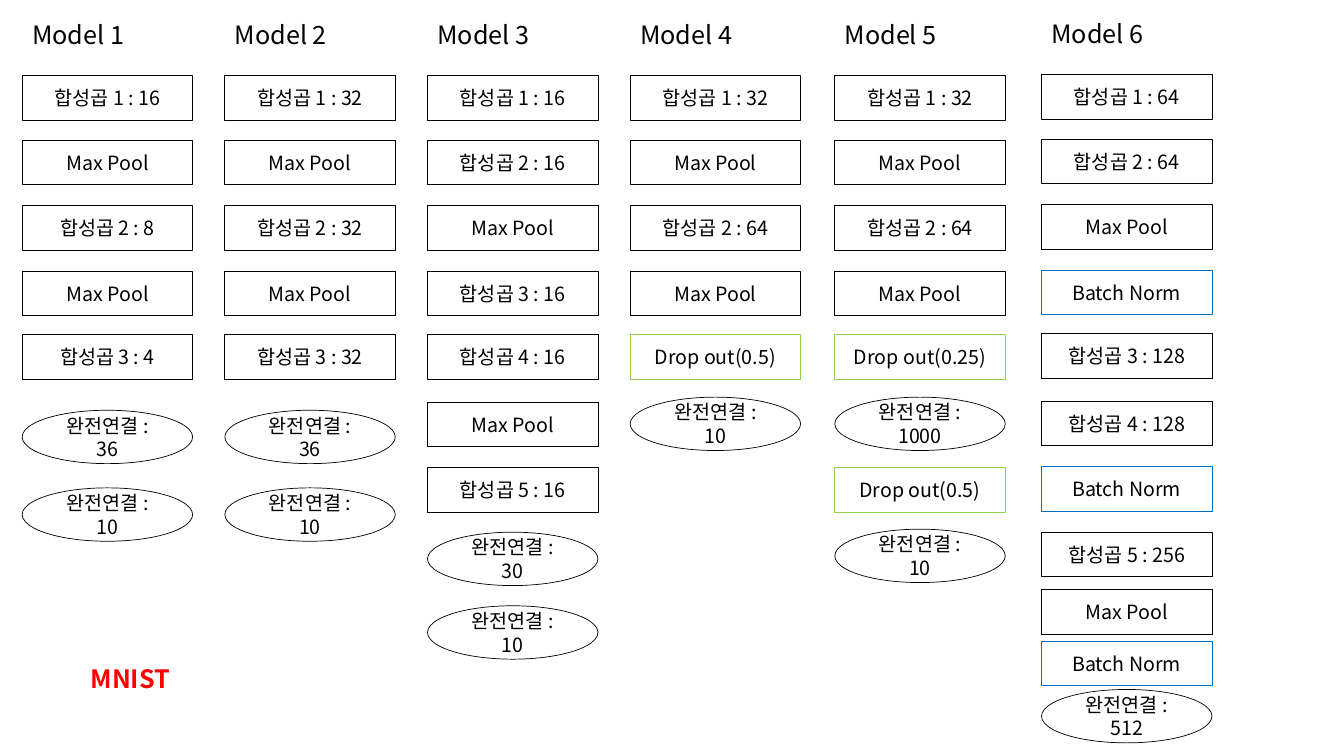
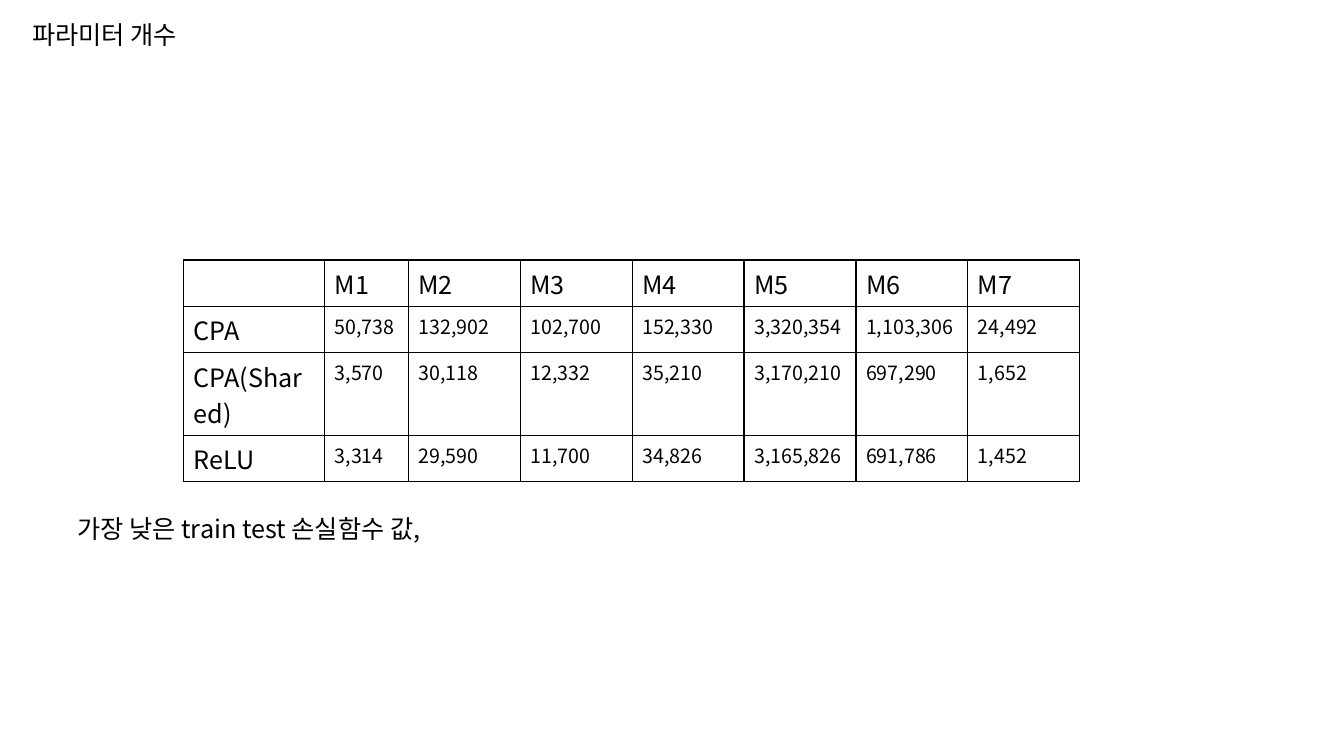
"""Build two slides comparing the MNIST models: layer stacks and parameter counts."""
from lxml.etree import SubElement
from pptx import Presentation
from pptx.dml.color import RGBColor
from pptx.enum.shapes import MSO_SHAPE as Preset
from pptx.enum.text import MSO_ANCHOR as Anchor, MSO_AUTO_SIZE as AutoSize, PP_ALIGN as Align
from pptx.oxml.ns import qn
from pptx.util import Pt

PX = 9144
BLACK = RGBColor(0x00, 0x00, 0x00)
RED = RGBColor(0xFF, 0x00, 0x00)
GREEN = RGBColor(0x92, 0xD0, 0x50)
BLUE = RGBColor(0x00, 0x70, 0xC0)
FONT = "Noto Sans CJK KR"
TITLE_SIZE, BODY_SIZE = 18, 14
BOX_WIDTH, RECT_HEIGHT, OVAL_HEIGHT = 169, 44, 53


def write(frame, text, size, color=BLACK, bold=None):
    para = frame.paragraphs[0]
    span = para.add_run()
    span.text = text
    formats = {"name": FONT, "size": Pt(size), "bold": bold}
    for key, value in formats.items():
        setattr(span.font, key, value)
    span.font.color.rgb = color
    SubElement(span._r.get_or_add_rPr(), qn("a:ea"), typeface=FONT)
    return para


def add_label(page, text, left, top, width, **style):
    box = page.shapes.add_textbox(left * PX, top * PX, width * PX, 40 * PX)
    box.text_frame.word_wrap = False
    box.text_frame.auto_size = AutoSize.SHAPE_TO_FIT_TEXT
    write(box.text_frame, text, TITLE_SIZE, **style)


deck = Presentation()
deck.slide_width, deck.slide_height = 1333 * PX, 750 * PX
blank = deck.slide_layouts[6]

LINE_COLORS = {"Drop out": GREEN, "Batch Norm": BLUE}
FIRST_TOPS = [75, 139, 204, 269, 332]
MODELS = [
    (22, 14, [407, 484],
     ["합성곱 1 : 16", "Max Pool", "합성곱 2 : 8", "Max Pool", "합성곱 3 : 4",
      "완전연결 : 36", "완전연결 : 10"]),
    (223, 14, [407, 484],
     ["합성곱 1 : 32", "Max Pool", "합성곱 2 : 32", "Max Pool", "합성곱 3 : 32",
      "완전연결 : 36", "완전연결 : 10"]),
    (424, 14, [399, 464, 528, 601],
     ["합성곱 1 : 16", "합성곱 2 : 16", "Max Pool", "합성곱 3 : 16", "합성곱 4 : 16",
      "Max Pool", "합성곱 5 : 16", "완전연결 : 30", "완전연결 : 10"]),
    (625, 14, [394],
     ["합성곱 1 : 32", "Max Pool", "합성곱 2 : 64", "Max Pool", "Drop out(0.5)",
      "완전연결 : 10"]),
    (828, 14, [394, 464, 525],
     ["합성곱 1 : 32", "Max Pool", "합성곱 2 : 64", "Max Pool", "Drop out(0.25)",
      "완전연결 : 1000", "Drop out(0.5)", "완전연결 : 10"]),
    (1033, 13, [399, 464, 529, 586, 637, 685],
     ["합성곱 1 : 64", "합성곱 2 : 64", "Max Pool", "Batch Norm", "합성곱 3 : 128",
      "합성곱 4 : 128", "Batch Norm", "합성곱 5 : 256", "Max Pool", "Batch Norm",
      "완전연결 : 512"]),
]

page = deck.slides.add_slide(blank)
for number, (left, title_top, later_tops, layers) in enumerate(MODELS, 1):
    add_label(page, f"Model {number}", left, title_top, 116)
    shift = title_top - 14
    for layer, top in zip(layers, FIRST_TOPS + later_tops):
        dense = layer.startswith("완전연결")
        preset = Preset.OVAL if dense else Preset.RECTANGLE
        height = OVAL_HEIGHT if dense else RECT_HEIGHT
        box = page.shapes.add_shape(
            preset, left * PX, (top + shift) * PX, BOX_WIDTH * PX, height * PX)
        box.shadow.inherit = False
        box.fill.background()
        box.line.color.rgb = LINE_COLORS.get(layer.split("(")[0], BLACK)
        box.line.width = Pt(0.5)
        box.text_frame.word_wrap = True
        box.text_frame.vertical_anchor = Anchor.MIDDLE
        write(box.text_frame, layer, BODY_SIZE).alignment = Align.CENTER
add_label(page, "MNIST", 80, 653, 110, color=RED, bold=True)

COLUMN_WIDTHS = [140, 83] + [111] * 6
ROW_HEIGHTS = [46, 46, 82, 46]
COUNTS = [
    ["", "M1", "M2", "M3", "M4", "M5", "M6", "M7"],
    ["CPA", "50,738", "132,902", "102,700", "152,330", "3,320,354", "1,103,306", "24,492"],
    ["CPA(Shared)", "3,570", "30,118", "12,332", "35,210", "3,170,210", "697,290", "1,652"],
    ["ReLU", "3,314", "29,590", "11,700", "34,826", "3,165,826", "691,786", "1,452"],
]

page = deck.slides.add_slide(blank)
table = page.shapes.add_table(
    len(COUNTS), len(COLUMN_WIDTHS), 182 * PX, 258 * PX,
    sum(COLUMN_WIDTHS) * PX, sum(ROW_HEIGHTS) * PX).table
table.first_row = table.horz_banding = False
for column, width in zip(table.columns, COLUMN_WIDTHS):
    column.width = width * PX
for row, height in zip(table.rows, ROW_HEIGHTS):
    row.height = height * PX
for row_index, values in enumerate(COUNTS):
    for column_index, value in enumerate(values):
        cell = table.cell(row_index, column_index)
        properties = cell._tc.get_or_add_tcPr()
        for side in ("lnL", "lnR", "lnT", "lnB"):
            border = SubElement(properties, qn(f"a:{side}"), w=str(Pt(1)))
            fill = SubElement(border, qn("a:solidFill"))
            SubElement(fill, qn("a:srgbClr"), val=str(BLACK))
        cell.fill.background()
        if value:
            heading = row_index == 0 or column_index == 0
            write(cell.text_frame, value, TITLE_SIZE if heading else BODY_SIZE)
add_label(page, "파라미터 개수", 22, 14, 181)
add_label(page, "가장 낮은 train test 손실함수 값,", 67, 504, 400)

deck.save("out.pptx")
